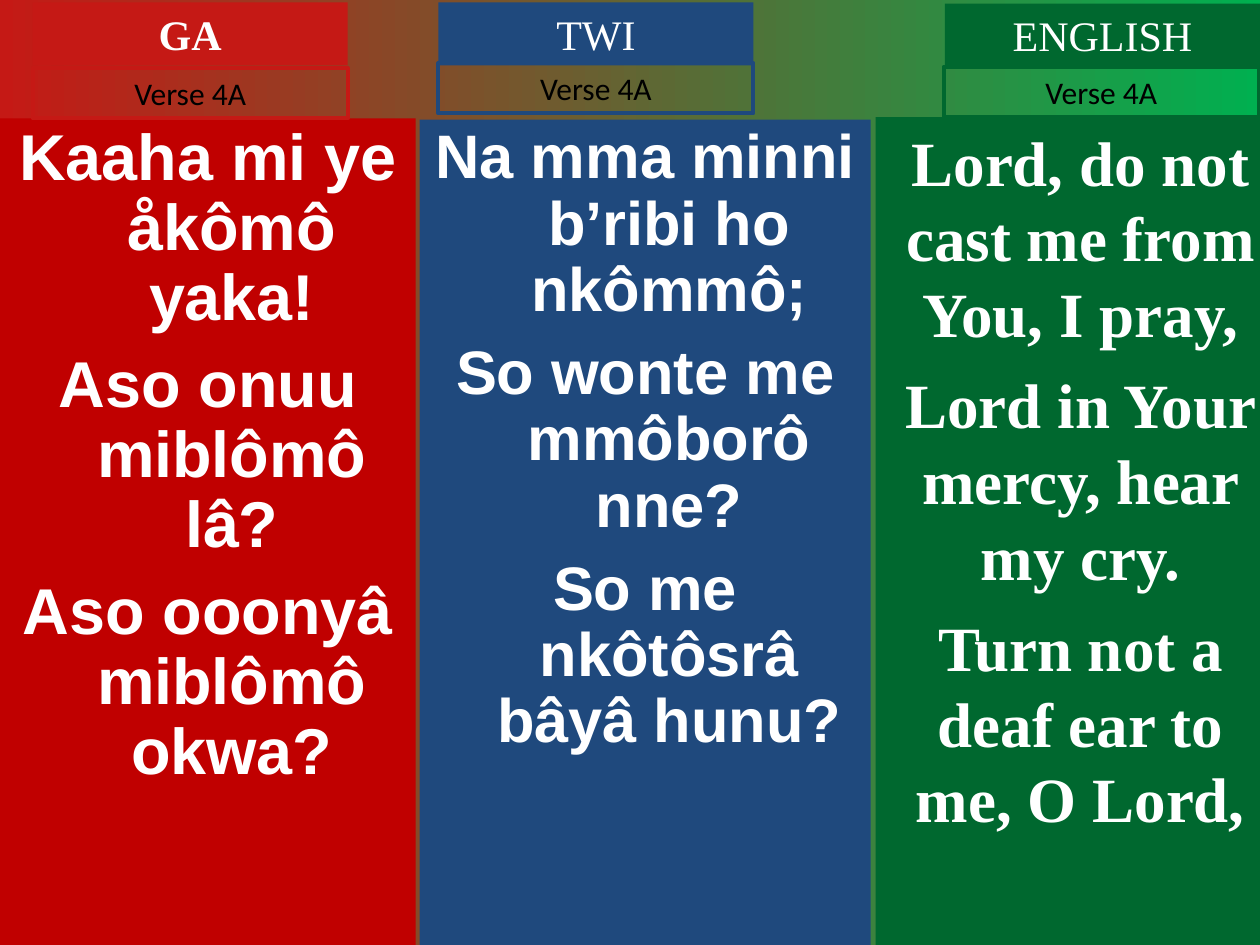
from dataclasses import dataclass

from pptx import Presentation
from pptx.dml.color import RGBColor
from pptx.enum.shapes import MSO_SHAPE
from pptx.enum.text import MSO_ANCHOR, MSO_AUTO_SIZE, PP_ALIGN
from pptx.util import Inches, Pt


@dataclass(frozen=True)
class Theme:
    background_start: str = "C51915"
    background_end: str = "00B050"
    white: str = "FFFFFF"
    black: str = "000000"
    heading_font: str = "Times New Roman"
    heading_size: float = 24
    label_font: str = "Calibri"
    label_size: float = 18
    frame_width: float = 2.25


@dataclass(frozen=True)
class Column:
    """One language: its boxes are (left, top, width, height) in inches."""
    language: str
    lines: tuple
    panel_box: tuple
    heading_box: tuple
    label_box: tuple
    panel_color: str
    accent_color: str
    font: str
    size: float
    space_before: float
    line_spacing: float = 1.0
    hanging: float = 0
    heading_bold: bool = False


THEME = Theme()
VERSE = "Verse 4A"
COLUMNS = (
    Column("GA",
           ("Kaaha mi ye åkômô yaka!", "Aso onuu miblômô lâ?",
            "Aso ooonyâ miblômô okwa?"),
           (0, 0.94, 3.3, 6.56), (0.26, 0.02, 2.5, 0.5), (0.26, 0.54, 2.5, 0.4),
           "C00000", "C51915", "Arial", 37, 10,
           line_spacing=0.9, hanging=0.38, heading_bold=True),
    Column("TWI",
           ("Na mma minni b’ribi ho nkômmô;", "So wonte me mmôborô nne?",
            "So me nkôtôsrâ bâyâ hunu?"),
           (3.33, 0.95, 3.58, 6.55), (3.48, 0.02, 2.5, 0.5), (3.48, 0.5, 2.5, 0.4),
           "1F497D", "1F497D", "Arial", 35.1, 9.5,
           line_spacing=0.9, hanging=0.38),
    Column("ENGLISH",
           ("Lord, do not cast me from You, I pray,",
            "Lord in Your mercy, hear my cry.",
            "Turn not a deaf ear to me, O Lord,"),
           (6.95, 0.93, 3.25, 6.59), (7.5, 0.03, 2.5, 0.5), (7.49, 0.53, 2.5, 0.4),
           "00682F", "00682F", "Times New Roman", 36, 9),
)


def add_box(slide, box, fill=None, line=None):
    shape = slide.shapes.add_shape(MSO_SHAPE.RECTANGLE, *map(Inches, box))
    shape.shadow.inherit = False
    if fill:
        shape.fill.solid()
        shape.fill.fore_color.rgb = RGBColor.from_string(fill)
    else:
        shape.fill.background()
    if line:
        shape.line.color.rgb = RGBColor.from_string(line)
        shape.line.width = Pt(THEME.frame_width)
    else:
        shape.line.fill.background()
    shape.text_frame.word_wrap = True
    shape.text_frame.vertical_anchor = MSO_ANCHOR.TOP
    return shape


def write(paragraph, text, font, size, color, bold=False):
    paragraph.text = text
    paragraph.alignment = PP_ALIGN.CENTER
    paragraph.font.name = font
    paragraph.font.size = Pt(size)
    paragraph.font.bold = bold
    paragraph.font.color.rgb = RGBColor.from_string(color)


def add_panel(slide, column):
    frame = add_box(slide, column.panel_box, fill=column.panel_color).text_frame
    for index, text in enumerate(column.lines):
        paragraph = frame.add_paragraph() if index else frame.paragraphs[0]
        write(paragraph, text, column.font, column.size, THEME.white, bold=True)
        paragraph.line_spacing = column.line_spacing
        paragraph.space_before = Pt(column.space_before if index else 0)
        if column.hanging:
            properties = paragraph._p.get_or_add_pPr()
            properties.set("marL", str(Inches(column.hanging)))
            properties.set("indent", str(-Inches(column.hanging)))


def add_heading(slide, column):
    frame = add_box(slide, column.heading_box, fill=column.accent_color).text_frame
    frame.auto_size = MSO_AUTO_SIZE.SHAPE_TO_FIT_TEXT
    write(frame.paragraphs[0], column.language, THEME.heading_font,
          THEME.heading_size, THEME.white, column.heading_bold)


def add_verse_label(slide, column):
    frame = add_box(slide, column.label_box, line=column.accent_color).text_frame
    frame.auto_size = MSO_AUTO_SIZE.SHAPE_TO_FIT_TEXT
    write(frame.paragraphs[0], VERSE, THEME.label_font,
          THEME.label_size, THEME.black)


def paint_background(slide):
    fill = slide.background.fill
    fill.gradient()
    fill.gradient_angle = 0
    colors = (THEME.background_start, THEME.background_end)
    for stop, position, color in zip(fill.gradient_stops, (0, 1), colors):
        stop.position = position
        stop.color.rgb = RGBColor.from_string(color)


def main():
    presentation = Presentation()
    presentation.slide_width = Inches(10)
    presentation.slide_height = Inches(7.5)
    slide = presentation.slides.add_slide(presentation.slide_layouts[6])
    paint_background(slide)
    for column in COLUMNS:
        add_panel(slide, column)
        add_heading(slide, column)
        add_verse_label(slide, column)
    presentation.save("out.pptx")


if __name__ == "__main__":
    main()
